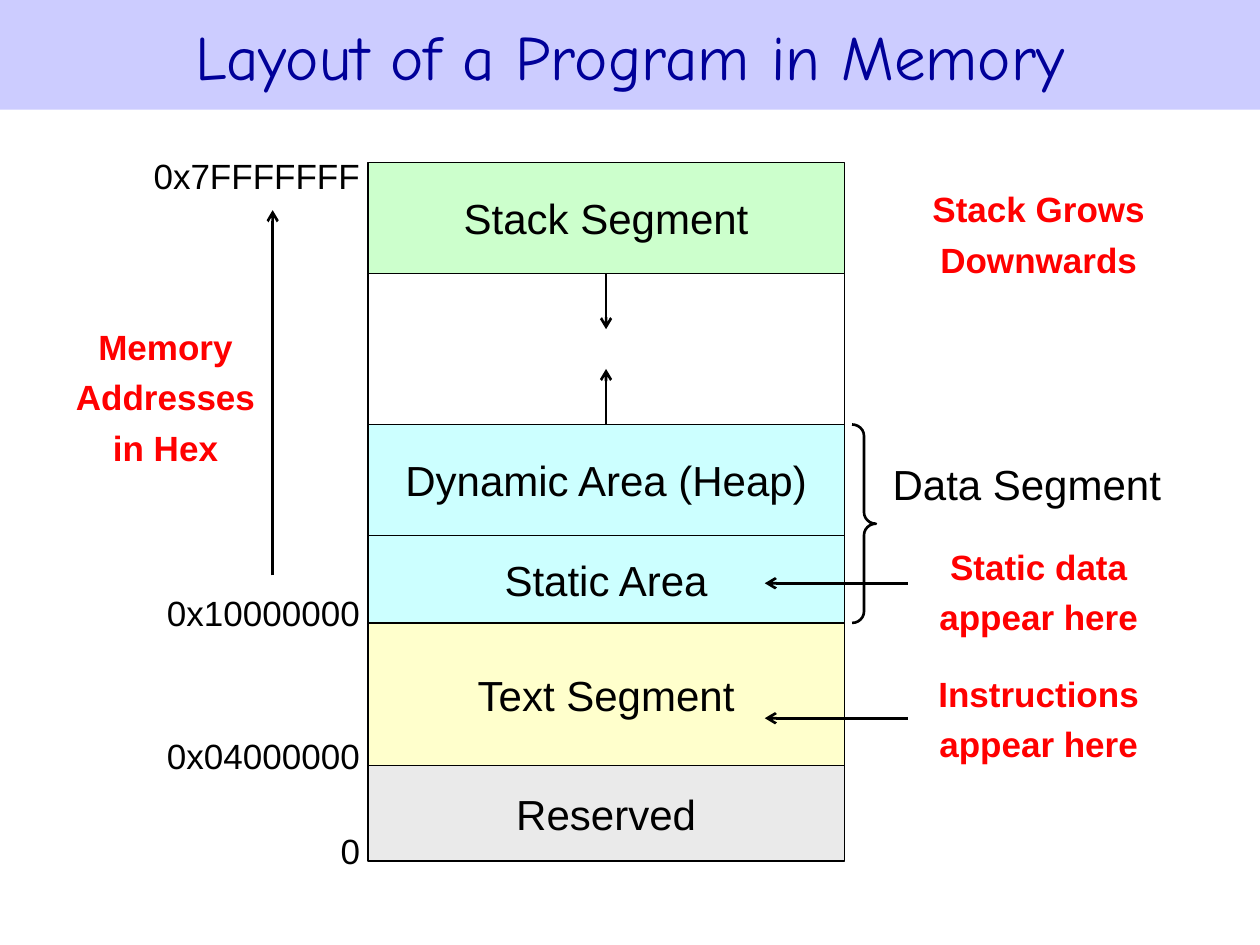
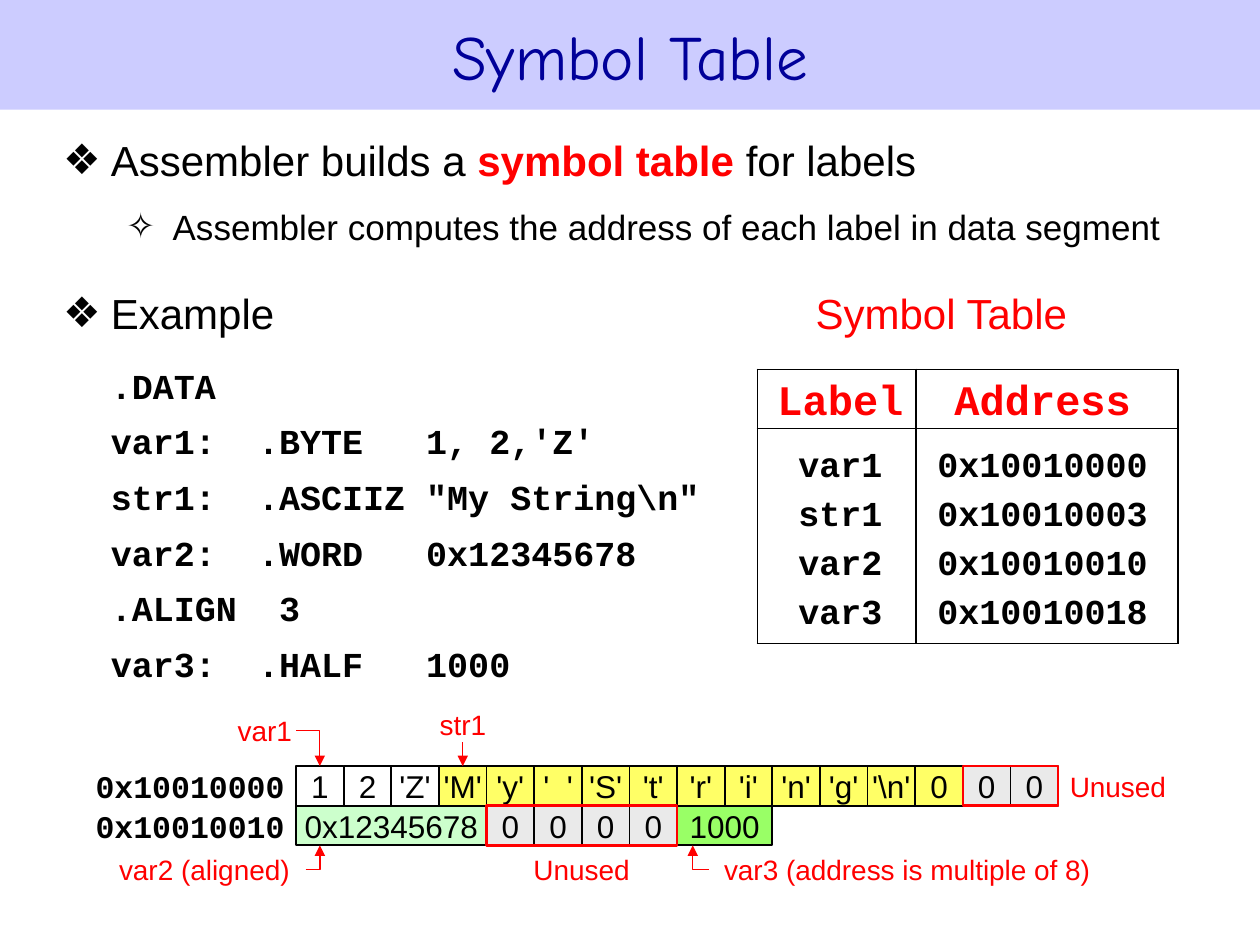
from dataclasses import dataclass
from itertools import pairwise

from lxml.etree import SubElement
from pptx import Presentation
from pptx.dml.color import RGBColor
from pptx.enum.shapes import MSO_CONNECTOR, MSO_SHAPE
from pptx.enum.text import MSO_ANCHOR, MSO_AUTO_SIZE, PP_ALIGN
from pptx.oxml.ns import qn
from pptx.util import Inches, Pt

BLACK = RGBColor(0x00, 0x00, 0x00)
RED = RGBColor(0xFF, 0x00, 0x00)
NAVY = RGBColor(0x00, 0x00, 0x99)
LAVENDER = RGBColor(0xCC, 0xCC, 0xFF)
GREEN = RGBColor(0xCC, 0xFF, 0xCC)
LIME = RGBColor(0x99, 0xFF, 0x66)
CYAN = RGBColor(0xCC, 0xFF, 0xFF)
CREAM = RGBColor(0xFF, 0xFF, 0xCC)
YELLOW = RGBColor(0xFF, 0xFF, 0x66)
GRAY = RGBColor(0xEA, 0xEA, 0xEA)

SANS = "Arial"
MONO = "Courier New"
TITLE_FONT = "Comic Neue"


@dataclass
class Grid:
    """A region whose parts are placed by column and row."""
    left: float
    top: float
    column: float
    row: float

    def point(self, column, row):
        return (Inches(self.left + column * self.column),
                Inches(self.top + row * self.row))

    def box(self, column, row, columns, rows):
        return (*self.point(column, row),
                Inches(columns * self.column), Inches(rows * self.row))


# Shared building blocks

def format_font(font, size, color=BLACK, name=SANS, bold=False):
    font.size, font.name, font.bold = Pt(size), name, bold
    font.color.rgb = color


def write(shape, text, size, color=BLACK, name=SANS, bold=False,
          align=PP_ALIGN.CENTER, anchor=MSO_ANCHOR.MIDDLE, spacing=1.0):
    frame = shape.text_frame
    frame.text = text
    frame.word_wrap = True
    frame.vertical_anchor = anchor
    frame.margin_left = frame.margin_right = 0
    frame.margin_top = frame.margin_bottom = 0
    for paragraph in frame.paragraphs:
        paragraph.alignment = align
        paragraph.line_spacing = spacing
        for run in paragraph.runs:
            format_font(run.font, size, color, name, bold)


def add_label(slide, box, text, size, **style):
    write(slide.shapes.add_textbox(*box), text, size, **style)


def add_outline(slide, box, fill=None, line=BLACK, width=0.75,
                kind=MSO_SHAPE.RECTANGLE):
    shape = slide.shapes.add_shape(kind, *box)
    shape.shadow.inherit = False
    if fill is None:
        shape.fill.background()
    else:
        shape.fill.solid()
        shape.fill.fore_color.rgb = fill
    shape.line.color.rgb = line
    shape.line.width = Pt(width)
    return shape


def add_arrow(slide, points, color=BLACK, width=1.5, head="arrow"):
    """Draw a straight arrow through two points, or a bent one through more."""
    if len(points) == 2:
        arrow = slide.shapes.add_connector(MSO_CONNECTOR.STRAIGHT,
                                           *points[0], *points[1])
        SubElement(arrow._element.spPr, qn("a:effectLst"))
    else:
        builder = slide.shapes.build_freeform(*points[0])
        builder.add_line_segments(points[1:], close=False)
        arrow = builder.convert_to_shape()
        arrow.shadow.inherit = False
        arrow.fill.background()
    arrow.line.color.rgb = color
    arrow.line.width = Pt(width)
    SubElement(arrow.line._get_or_add_ln(), qn("a:tailEnd"), type=head)


def add_titled_slide(presentation, layout, title):
    slide = presentation.slides.add_slide(presentation.slide_layouts[layout])
    band = slide.shapes.title
    band.left = band.top = 0
    band.width, band.height = presentation.slide_width, Inches(0.87)
    band.fill.solid()
    band.fill.fore_color.rgb = LAVENDER
    write(band, title, 36, color=NAVY, name=TITLE_FONT)
    band.text_frame.auto_size = MSO_AUTO_SIZE.NONE
    return slide


# Slide 1: memory layout

def add_memory_map(slide, grid):
    width = 30
    segments = [("Stack Segment", 7, GREEN), ("", 9.5, None),
                ("Dynamic Area (Heap)", 7, CYAN), ("Static Area", 5.5, CYAN),
                ("Text Segment", 9, CREAM), ("Reserved", 6, GRAY)]
    edges = [0]
    for name, rows, fill in segments:
        shape = add_outline(slide, grid.box(0, edges[-1], width, rows), fill)
        if name:
            write(shape, name, 24)
        edges.append(edges[-1] + rows)
    _, stack_end, heap_start, _, data_end, text_end, bottom = edges

    # Growth of stack and heap
    for start, step in [(heap_start, -3.5), (stack_end, 3.5)]:
        add_arrow(slide, [grid.point(width / 2, start),
                          grid.point(width / 2, start + step)])

    # Addresses, rising to the top
    for address, row in [("0x7FFFFFFF", -0.5), ("0x10000000", data_end - 2),
                         ("0x04000000", text_end - 2), ("0", bottom - 2)]:
        add_label(slide, grid.box(-14, row, 13.5, 2.5), address, 20,
                  align=PP_ALIGN.RIGHT, anchor=MSO_ANCHOR.TOP)
    add_arrow(slide, [grid.point(-6, 26), grid.point(-6, 3)])

    # Data segment brace
    brace = add_outline(
        slide, grid.box(30.5, heap_start, 1.5, data_end - heap_start),
        width=1.5, kind=MSO_SHAPE.RIGHT_BRACE)
    brace.adjustments[0] = 0.48
    add_label(slide, grid.box(32.5, 17.5, 18, 5.5), "Data Segment", 24)

    # Red notes
    notes = [("Memory\nAddresses\nin Hex", (-19, 9, 12.5, 11)),
             ("Stack Grows\nDownwards", (35, 0.5, 14.5, 7.5)),
             ("Static data\nappear here", (35, 23, 14.5, 7.5)),
             ("Instructions\nappear here", (35, 31, 14.5, 7.5))]
    for text, cells in notes:
        add_label(slide, grid.box(*cells), text, 20, color=RED, bold=True,
                  spacing=1.2)
    for row in (26.5, 35):
        add_arrow(slide, [grid.point(34, row), grid.point(25, row)])


# Slide 2: symbol table

def add_outline_text(body, box):
    """Fill the body with bulleted points and the code example."""
    body.left, body.top, body.width, body.height = box
    frame = body.text_frame
    frame.auto_size = MSO_AUTO_SIZE.NONE
    frame.vertical_anchor = MSO_ANCHOR.TOP
    frame.margin_left = frame.margin_right = 0
    frame.margin_top = frame.margin_bottom = Inches(0.05)
    code = [".DATA", "var1:  .BYTE   1, 2,'Z'",
            "str1:  .ASCIIZ \"My String\\n\"", "var2:  .WORD   0x12345678",
            ".ALIGN  3", "var3:  .HALF   1000"]
    # Bullet, left margin, hanging, space before, size, pieces of text
    points = [
        ("❖", 0.38, 0.38, 0, 24, [("Assembler builds a ", BLACK, False),
                                  ("symbol table ", RED, True),
                                  ("for labels", BLACK, False)]),
        ("✧", 0.87, 0.37, 9.3, 20,
         [("Assembler computes the address of each label in data segment",
           BLACK, False)]),
        ("❖", 0.38, 0.38, 20, 24, [("Example\t", BLACK, False),
                                   ("Symbol Table", RED, False)])]
    points += [(None, 0.38, 0, 5.4 if index else 12.5, 20,
                [(line, BLACK, True)]) for index, line in enumerate(code)]
    for index, (bullet, margin, hang, before, size, pieces) in enumerate(points):
        paragraph = frame.add_paragraph() if index else frame.paragraphs[0]
        paragraph.level = 1 if bullet == "✧" else 0
        paragraph.line_spacing = 1.1
        paragraph.space_before = Pt(before)
        paragraph.space_after = Pt(0)
        properties = paragraph._p.get_or_add_pPr()
        properties.set("marL", str(Inches(margin)))
        properties.set("indent", str(-Inches(hang)))
        if bullet:
            SubElement(properties, qn("a:buChar"), char=bullet)
        else:
            SubElement(properties, qn("a:buNone"))
        tabs = SubElement(properties, qn("a:tabLst"))
        SubElement(tabs, qn("a:tab"), pos=str(Inches(6.97)), algn="ctr")
        for text, color, bold in pieces:
            run = paragraph.add_run()
            run.text = text
            format_font(run.font, size, color, SANS if bullet else MONO, bold)


def set_borders(cell, sides):
    """Draw the named sides of a cell, and hide the others."""
    properties = cell._tc.get_or_add_tcPr()
    for side in "LRTB":
        line = SubElement(properties, qn("a:ln" + side), w=str(Pt(0.75)))
        if side in sides:
            fill = SubElement(line, qn("a:solidFill"))
            SubElement(fill, qn("a:srgbClr"), val=str(BLACK))
        else:
            SubElement(line, qn("a:noFill"))


def add_symbol_table(slide, box):
    rows = [("Label", "Address"), ("var1", "0x10010000"),
            ("str1", "0x10010003"), ("var2", "0x10010010"),
            ("var3", "0x10010018")]
    table = slide.shapes.add_table(len(rows), 2, *box).table
    table.first_row = table.horz_banding = False
    for column, width in zip(table.columns, (1.26, 2.08)):
        column.width = Inches(width)
    for row, height in zip(table.rows, (0.47, 0.5, 0.39, 0.39, 0.43)):
        row.height = Inches(height)
    last = len(rows) - 1
    for row, values in enumerate(rows):
        for column, value in enumerate(values):
            cell = table.cell(row, column)
            sides = "LR" + ("TB" if row == 0 else "")
            sides += "T" if row == 1 else "B" if row == last else ""
            set_borders(cell, sides)
            cell.fill.background()
            cell.text = value
            cell.vertical_anchor = MSO_ANCHOR.BOTTOM
            cell.margin_left = Inches(0 if column else 0.06)
            cell.margin_right = Inches(0.07 if column else 0)
            cell.margin_top = 0
            cell.margin_bottom = Inches(0.07 if row == last else 0.03 if row else 0)
            paragraph = cell.text_frame.paragraphs[0]
            paragraph.alignment = PP_ALIGN.CENTER
            format_font(paragraph.runs[0].font, 20 if row else 24,
                        BLACK if row else RED, MONO, True)


def add_byte_strip(slide, grid):
    # Bytes: text, columns, fill
    string = ["'M'", "'y'", "'  '", "'S'", "'t'", "'r'", "'i'", "'n'", "'g'",
              "'\\n'", "0"]
    first = [(text, 1, None) for text in ("1", "2", "'Z'")]
    first += [(text, 1, YELLOW) for text in string]
    padding = ("0", 1, GRAY)
    words = [("0x10010000", first + [padding] * 2),
             ("0x10010010", [("0x12345678", 4, GREEN), *[padding] * 4,
                             ("1000", 2, LIME)])]
    for row, (address, values) in enumerate(words):
        add_label(slide, grid.box(-4.3, row, 4.15, 1), address, 18,
                  name=MONO, bold=True)
        column = 0
        for text, columns, fill in values:
            cell = add_outline(slide, grid.box(column, row, columns, 1), fill,
                               width=1)
            write(cell, text, 18)
            column += columns

    # Unused bytes
    for cells in [(14, 0, 2, 1), (4, 1, 4, 1)]:
        add_outline(slide, grid.box(*cells), line=RED, width=1.5)

    # Labels and their arrows
    labels = [("var1", (-1.33, -1.4, 1.35, 1)),
              ("str1", (2.83, -1.4, 1.35, 0.7)),
              ("Unused", (16.17, 0, 2.17, 1)),
              ("var2 (aligned)", (-4, 2.2, 4.15, 0.8)),
              ("Unused", (4.83, 2.2, 2.33, 0.8)),
              ("var3 (address is multiple of 8)", (8.83, 2.2, 8, 0.8))]
    for text, cells in labels:
        add_label(slide, grid.box(*cells), text, 16, color=RED)
    for route in [[(0, -0.9), (0.5, -0.9), (0.5, 0)],
                  [(3.5, -0.6), (3.5, 0)],
                  [(0.2, 2.6), (0.5, 2.6), (0.5, 2)],
                  [(8.67, 2.6), (8.33, 2.6), (8.33, 2)]]:
        add_arrow(slide, [grid.point(*stop) for stop in route], RED, 0.75,
                  "triangle")


presentation = Presentation()
presentation.slide_width, presentation.slide_height = Inches(10), Inches(7.5)

memory_slide = add_titled_slide(presentation, 5, "Layout of a Program in Memory")
add_memory_map(memory_slide, Grid(2.92, 1.29, 3.78 / 30, 3.78 / 30))

symbol_slide = add_titled_slide(presentation, 1, "Symbol Table")
page = Grid(0, 0, 1, 1)
add_outline_text(symbol_slide.placeholders[1], page.box(0.5, 0.98, 8.97, 4.66))
add_symbol_table(symbol_slide, page.box(6.01, 2.93, 3.34, 2.18))
add_byte_strip(symbol_slide, Grid(2.35, 6.08, 3.78 / 10, 0.63 / 2))

presentation.save("out.pptx")
